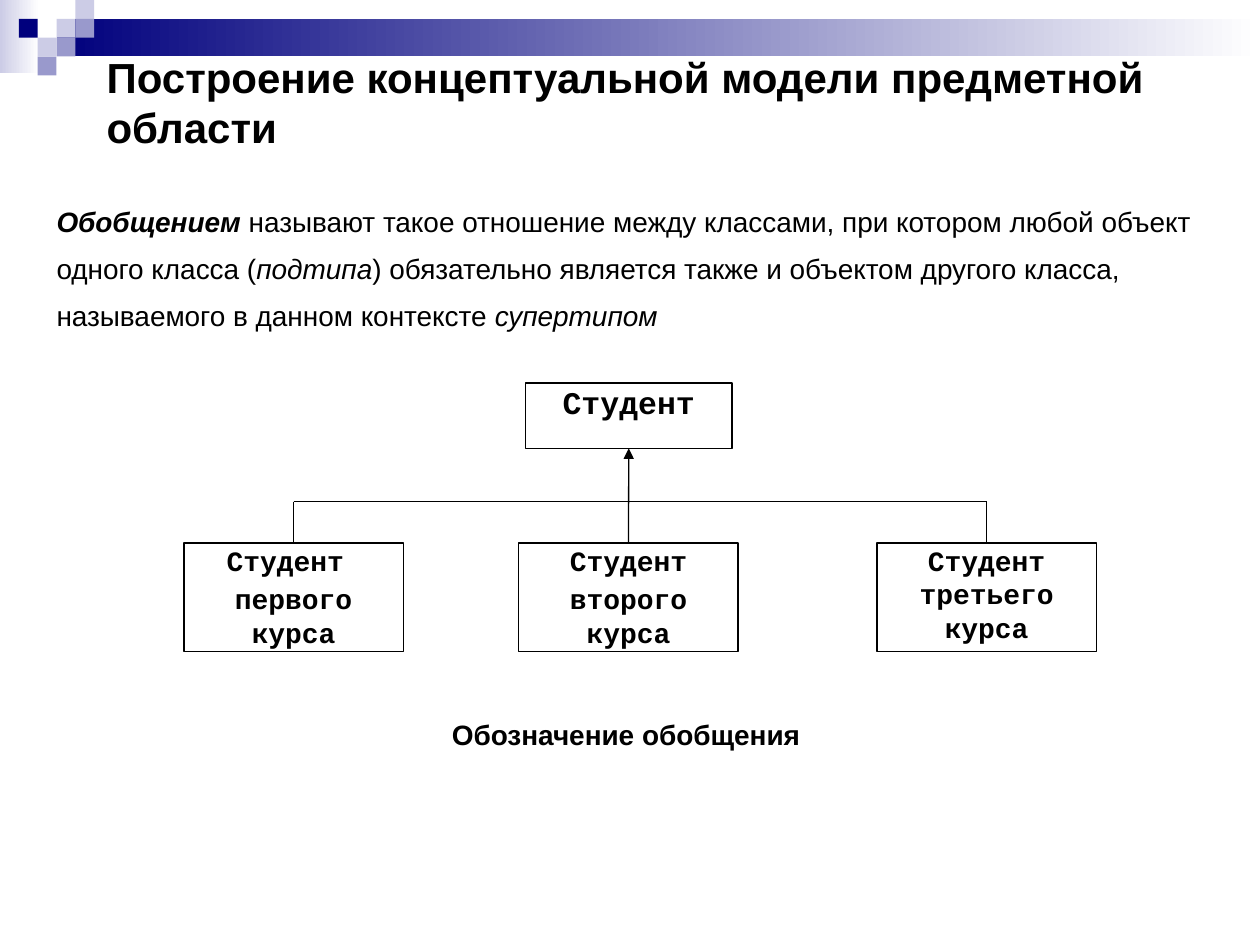
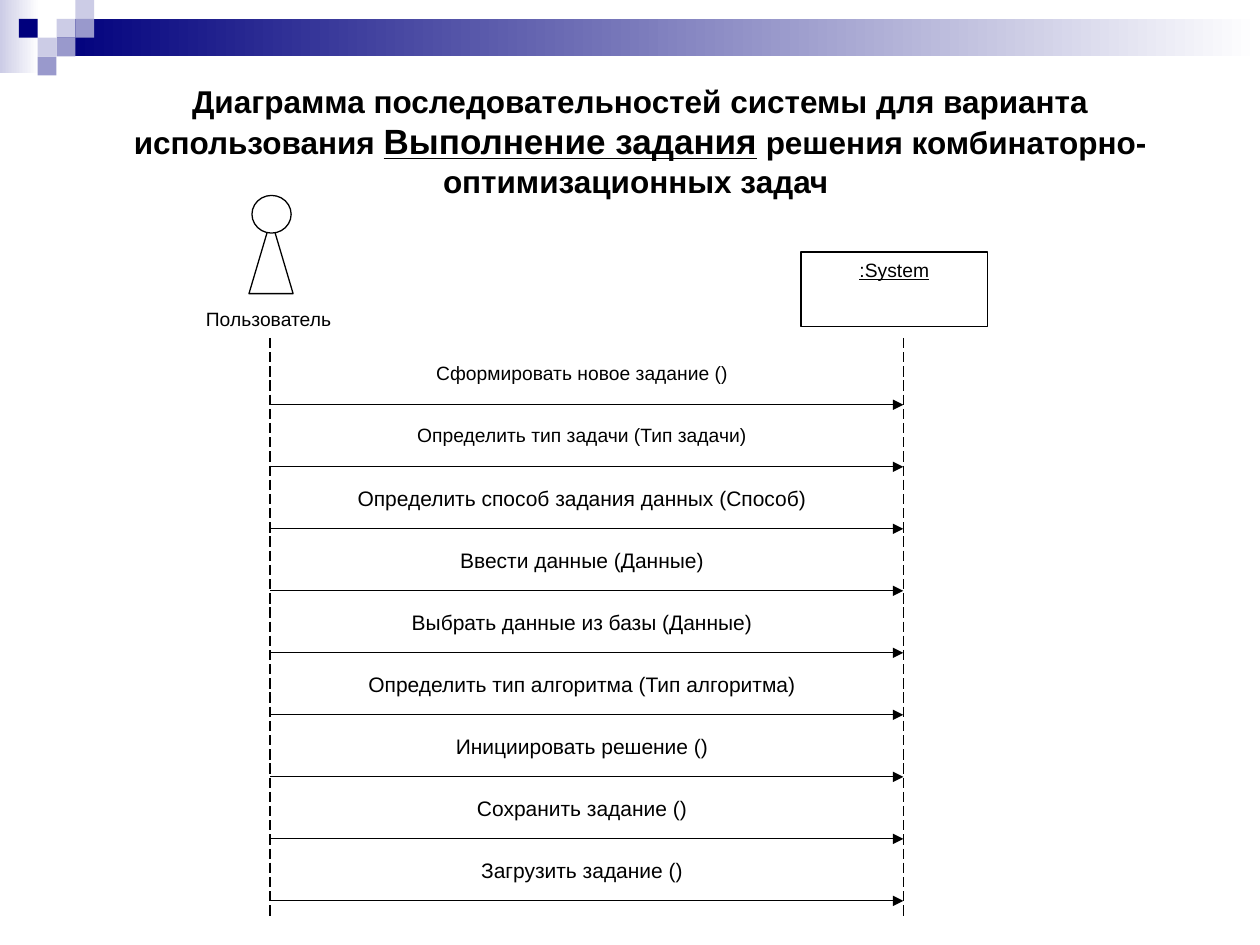
from dataclasses import dataclass
from typing import Optional, Sequence

import lxml.etree
import pptx
import pptx.dml.color
import pptx.enum.dml
import pptx.enum.shapes
import pptx.enum.text
import pptx.oxml.ns
import pptx.shapes.autoshape
import pptx.shapes.connector
import pptx.slide
import pptx.util

Cm = pptx.util.Cm
Pt = pptx.util.Pt
Shape = pptx.shapes.autoshape.Shape
Connector = pptx.shapes.connector.Connector
Slide = pptx.slide.Slide
KIND = pptx.enum.shapes.MSO_SHAPE
CENTER = pptx.enum.text.PP_ALIGN.CENTER
LEFT = pptx.enum.text.PP_ALIGN.LEFT

BLACK, WHITE = "000000", "FFFFFF"
NAVY, LILAC, LAVENDER = "00007D", "9999CC", "CCCCE6"
SANS, MONO = "Arial", "Courier New"
TOP, BOTTOM = 0, 2
TILE = 0.38
TILES = [(3, 1, LAVENDER), (4, 0, LAVENDER), (4, 1, LILAC), (2, 2, LAVENDER),
         (1, 1, NAVY), (3, 2, LILAC), (2, 3, LILAC)]


@dataclass(frozen=True)
class Area:
    left: float
    top: float
    width: float
    height: float

    def lengths(self) -> list[int]:
        return [Cm(v) for v in (self.left, self.top, self.width, self.height)]


@dataclass(frozen=True)
class Run:
    text: str
    size: float
    bold: bool = False
    italic: bool = False
    underline: bool = False


@dataclass(frozen=True)
class TextStyle:
    font: str = SANS
    align: int = CENTER
    before: float = 0
    spacing: Optional[float] = None
    inset_x: float = 0.25
    inset_y: float = 0.13


@dataclass(frozen=True)
class Message:
    text: str
    size: float = 12


def rgb(value: str) -> pptx.dml.color.RGBColor:
    return pptx.dml.color.RGBColor.from_string(value)


def write(shape: Shape, paragraphs: Sequence[Sequence[Run]], style: TextStyle) -> None:
    frame = shape.text_frame
    frame.word_wrap = True
    frame.vertical_anchor = pptx.enum.text.MSO_ANCHOR.TOP
    frame.margin_left = frame.margin_right = Cm(style.inset_x)
    frame.margin_top = frame.margin_bottom = Cm(style.inset_y)
    for index, runs in enumerate(paragraphs):
        paragraph = frame.add_paragraph() if index else frame.paragraphs[0]
        paragraph.alignment = style.align
        paragraph.space_before = Pt(style.before)
        if style.spacing:
            paragraph.line_spacing = style.spacing
        for part in runs:
            run = paragraph.add_run()
            run.text = part.text
            run.font.name = style.font
            run.font.size = Pt(part.size)
            run.font.bold = part.bold
            run.font.italic = part.italic
            run.font.underline = part.underline
            run.font.color.rgb = rgb(BLACK)


def add_text(slide: Slide, area: Area, runs: Sequence[Run], style: TextStyle) -> None:
    box = slide.shapes.add_textbox(*area.lengths())
    write(box, [runs], style)
    box.text_frame.auto_size = pptx.enum.text.MSO_AUTO_SIZE.SHAPE_TO_FIT_TEXT


def add_figure(slide: Slide, area: Area, fill: str = WHITE, outline: bool = True,
               kind: int = KIND.RECTANGLE) -> Shape:
    figure = slide.shapes.add_shape(kind, *area.lengths())
    figure.shadow.inherit = False
    figure.fill.solid()
    figure.fill.fore_color.rgb = rgb(fill)
    if outline:
        figure.line.color.rgb = rgb(BLACK)
        figure.line.width = Pt(0.75)
    else:
        figure.line.fill.background()
    return figure


def add_line(slide: Slide, x1: float, y1: float, x2: float, y2: float,
             arrow: bool = False, dashed: bool = False) -> Connector:
    line = slide.shapes.add_connector(
        pptx.enum.shapes.MSO_CONNECTOR.STRAIGHT, Cm(x1), Cm(y1), Cm(x2), Cm(y2))
    line.line.color.rgb = rgb(BLACK)
    line.line.width = Pt(0.75)
    if dashed:
        line.line.dash_style = pptx.enum.dml.MSO_LINE.LONG_DASH
    qn = pptx.oxml.ns.qn
    properties = line.element.spPr
    if arrow:
        lxml.etree.SubElement(properties.find(qn("a:ln")), qn("a:tailEnd"), type="triangle")
    lxml.etree.SubElement(properties, qn("a:effectLst"))
    return line


def add_fade(slide: Slide, area: Area, color: str) -> None:
    fade = add_figure(slide, area, outline=False)
    fade.fill.gradient()
    fade.fill.gradient_angle = 0
    for stop, value in zip(fade.fill.gradient_stops, (color, WHITE)):
        stop.color.rgb = rgb(value)


def add_header(slide: Slide) -> None:
    add_fade(slide, Area(0, 0, 0.79, 1.47), LAVENDER)
    add_fade(slide, Area(3 * TILE, TILE, 24.26, 2 * TILE), NAVY)
    for column, row, color in TILES:
        add_figure(slide, Area(column * TILE, row * TILE, TILE, TILE), color, outline=False)


def build_generalization(slide: Slide) -> None:
    add_header(slide)
    add_text(slide, Area(0.89, 3.73, 23.6, 3.1), [
        Run("Обобщением", 16, bold=True, italic=True),
        Run(" называют такое отношение между классами, при котором любой объект "
            "одного класса (", 16),
        Run("подтипа", 16, italic=True),
        Run(") обязательно является также и объектом другого класса, "
            "называемого в данном контексте ", 16),
        Run("супертипом", 16, italic=True),
    ], TextStyle(align=LEFT, before=10, spacing=1.4))
    add_text(slide, Area(1.9, 0.91, 21.8, 2.29),
             [Run("Построение концептуальной модели предметной области", 24, bold=True)],
             TextStyle(align=LEFT, before=15))

    supertype = add_figure(slide, Area(10.59, 7.72, 4.17, 1.32))
    write(supertype, [[Run("Студент", 18, bold=True)]],
          TextStyle(MONO, before=8, inset_x=0.05, inset_y=0))

    subtype_top, subtype_width, bus_y = 10.95, 4.42, 10.11
    subtypes = [(3.71, ["Студент ", "первого курса"]),
                (10.46, ["Студент", "второго курса"]),
                (17.68, ["Студент третьего курса"])]
    subtype_style = TextStyle(MONO, before=3, inset_x=0.05, inset_y=0)
    boxes = []
    for left, lines in subtypes:
        box = add_figure(slide, Area(left, subtype_top, subtype_width, 2.18))
        write(box, [[Run(text, 16, bold=True)] for text in lines], subtype_style)
        boxes.append(box)

    first_x, middle_x, last_x = (left + subtype_width / 2 for left, _ in subtypes)
    stem = add_line(slide, middle_x, subtype_top, middle_x, 9.04, arrow=True)
    stem.begin_connect(boxes[1], TOP)
    stem.end_connect(supertype, BOTTOM)
    add_line(slide, first_x, bus_y, last_x, bus_y)
    for x, box in ((first_x, boxes[0]), (last_x, boxes[2])):
        add_line(slide, x, bus_y, x, subtype_top).end_connect(box, TOP)

    add_text(slide, Area(1.7, 14.33, 22, 0.94),
             [Run("Обозначение обобщения ", 16, bold=True)], TextStyle(before=10))


def build_sequence(slide: Slide) -> None:
    add_header(slide)
    add_text(slide, Area(1.5, 1.52, 22.81, 2.64), [
        Run("Диаграмма последовательностей системы для варианта использования ", 18, bold=True),
        Run("Выполнение задания", 20, bold=True, underline=True),
        Run(" решения комбинаторно-оптимизационных задач ", 18, bold=True),
    ], TextStyle(before=11.2))

    add_figure(slide, Area(5.02, 4.42, 0.89, 1.5), kind=KIND.ISOSCELES_TRIANGLE)
    add_figure(slide, Area(5.08, 3.94, 0.79, 0.76), kind=KIND.OVAL)
    actor = add_figure(slide, Area(3.89, 6.17, 3.05, 0.74), outline=False)
    write(actor, [[Run("Пользователь", 11)]], TextStyle(inset_x=0.05, inset_y=0.03))
    system = add_figure(slide, Area(16.15, 5.08, 3.76, 1.5))
    write(system, [[Run(":System", 11, underline=True)]], TextStyle(before=6))

    actor_x, system_x = 5.44, 18.21
    for x in (actor_x, system_x):
        add_line(slide, x, 6.81, x, 18.52, dashed=True)

    messages = [
        Message("Сформировать новое задание ()", 11),
        Message("Определить тип задачи (Тип задачи)", 11),
        Message("Определить способ задания данных (Способ)"),
        Message("Ввести данные (Данные)"),
        Message("Выбрать данные из базы (Данные)"),
        Message("Определить тип алгоритма (Тип алгоритма)"),
        Message("Инициировать решение ()"),
        Message("Сохранить задание ()"),
        Message("Загрузить задание ()"),
    ]
    for index, message in enumerate(messages):
        top = 7.16 + 1.25 * index
        label = add_figure(slide, Area(5.97, top, 11.53, 0.84), outline=False)
        write(label, [[Run(message.text, message.size)]], TextStyle())
        add_line(slide, actor_x, top + 1, system_x, top + 1, arrow=True)


def main() -> None:
    deck = pptx.Presentation()
    deck.slide_width, deck.slide_height = Cm(25.4), Cm(19.05)
    blank = deck.slide_layouts[6]
    for build in (build_generalization, build_sequence):
        build(deck.slides.add_slide(blank))
    deck.save("out.pptx")


if __name__ == "__main__":
    main()
